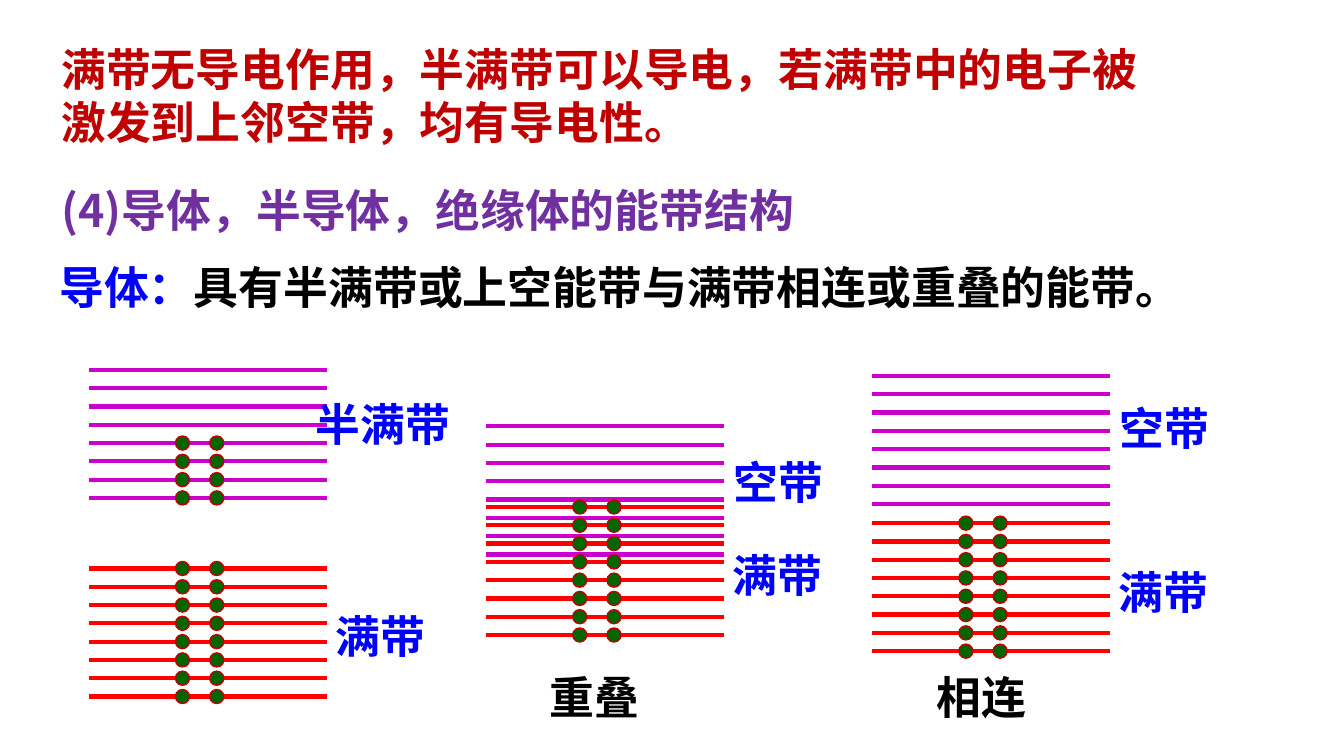
from lxml.etree import SubElement
from pptx import Presentation
from pptx.dml.color import RGBColor
from pptx.enum.shapes import MSO_CONNECTOR as Connector, MSO_SHAPE as Shape
from pptx.enum.text import MSO_AUTO_SIZE as AutoSize
from pptx.oxml.ns import qn
from pptx.util import Inches, Pt

THEME = {
    "font": "Noto Sans CJK SC", "size": 32,
    "red": "C00000", "purple": "7030A0", "blue": "0000FF", "black": "000000",
    "empty": "CC00CC", "filled": "FF0000", "electron": "006600",
    "level_width": 3, "electron_line": 1,
}

# Content: statements are (left, top, width, height, paragraphs of (text, colour))
STATEMENTS = [
    (0.51, 0.36, 10.97, 1.18, [
        [("满带无导电作用，半满带可以导电，若满带中的电子被", "red")],
        [("激发到上邻空带，均有导电性。", "red")]]),
    (0.51, 1.76, 7.61, 0.64, [[("(4)导体，半导体，绝缘体的能带结构", "purple")]]),
    (0.49, 2.53, 11.42, 0.64, [
        [("导体：", "blue"),
         ("具有半满带或上空能带与满带相连或重叠的能带。", "black")]]),
]

# Each diagram: left edge and bands of (top, colour, first occupied level)
LEVELS = 8
DIAGRAMS = [
    (0.88, [(3.67, "empty", 4), (5.64, "filled", 0)]),
    (4.82, [(4.23, "empty", LEVELS), (5.03, "filled", 0)]),
    (8.65, [(3.73, "empty", LEVELS), (5.19, "filled", 0)]),
]

# Labels: (text, left, top, width, colour)
LABELS = [
    ("半满带", 3.03, 3.89, 1.55, "blue"),
    ("满带", 3.23, 5.99, 1.1, "blue"),
    ("空带", 7.18, 4.46, 1.1, "blue"),
    ("满带", 7.17, 5.38, 1.1, "blue"),
    ("空带", 11.01, 3.93, 1.1, "blue"),
    ("满带", 11, 5.55, 1.1, "blue"),
    ("重叠", 5.35, 6.59, 1.1, "black"),
    ("相连", 9.19, 6.59, 1.1, "black"),
]

LEVEL_LENGTH = 2.36
LEVEL_GAP = 1.27 / (LEVELS - 1)
ELECTRON_SIZE = 0.14
ELECTRON_COLUMNS = (0.93, 1.27)

deck = Presentation()
deck.slide_width, deck.slide_height = Inches(13.33), Inches(7.5)
slide = deck.slides.add_slide(deck.slide_layouts[6])


def colour(key):
    return RGBColor.from_string(THEME[key])


def add_text(paragraphs, *, left, top, width, height=0.64):
    box = slide.shapes.add_textbox(*map(Inches, (left, top, width, height)))
    frame = box.text_frame
    frame.word_wrap = False
    frame.auto_size = AutoSize.SHAPE_TO_FIT_TEXT
    for index, pieces in enumerate(paragraphs):
        paragraph = frame.add_paragraph() if index else frame.paragraphs[0]
        for text, key in pieces:
            run = paragraph.add_run()
            run.text = text
            run.font.size = Pt(THEME["size"])
            run.font.bold = True
            run.font.color.rgb = colour(key)
            run.font.name = THEME["font"]
            SubElement(run.font._element, qn("a:ea"), typeface=THEME["font"])


def add_level(left, y, key):
    level = slide.shapes.add_connector(
        Connector.STRAIGHT, *map(Inches, (left, y, left + LEVEL_LENGTH, y)))
    level.line.color.rgb = colour(key)
    level.line.width = Pt(THEME["level_width"])
    SubElement(level._element.spPr, qn("a:effectLst"))


def add_electron(x, y):
    radius = ELECTRON_SIZE / 2
    electron = slide.shapes.add_shape(
        Shape.OVAL, Inches(x - radius), Inches(y - radius),
        Inches(ELECTRON_SIZE), Inches(ELECTRON_SIZE))
    electron.shadow.inherit = False
    electron.fill.solid()
    electron.fill.fore_color.rgb = colour("electron")
    electron.line.color.rgb = colour("red")
    electron.line.width = Pt(THEME["electron_line"])


# Statements
for left, top, width, height, paragraphs in STATEMENTS:
    add_text(paragraphs, left=left, top=top, width=width, height=height)

# Energy bands: levels first, electrons on top
for left, bands in DIAGRAMS:
    for top, key, _ in bands:
        for level in range(LEVELS):
            add_level(left, top + level * LEVEL_GAP, key)
    for top, _, first_occupied in bands:
        for level in range(first_occupied, LEVELS):
            for column in ELECTRON_COLUMNS:
                add_electron(left + column, top + level * LEVEL_GAP)

# Band labels and diagram captions
for text, left, top, width, key in LABELS:
    add_text([[(text, key)]], left=left, top=top, width=width)

deck.save("out.pptx")
